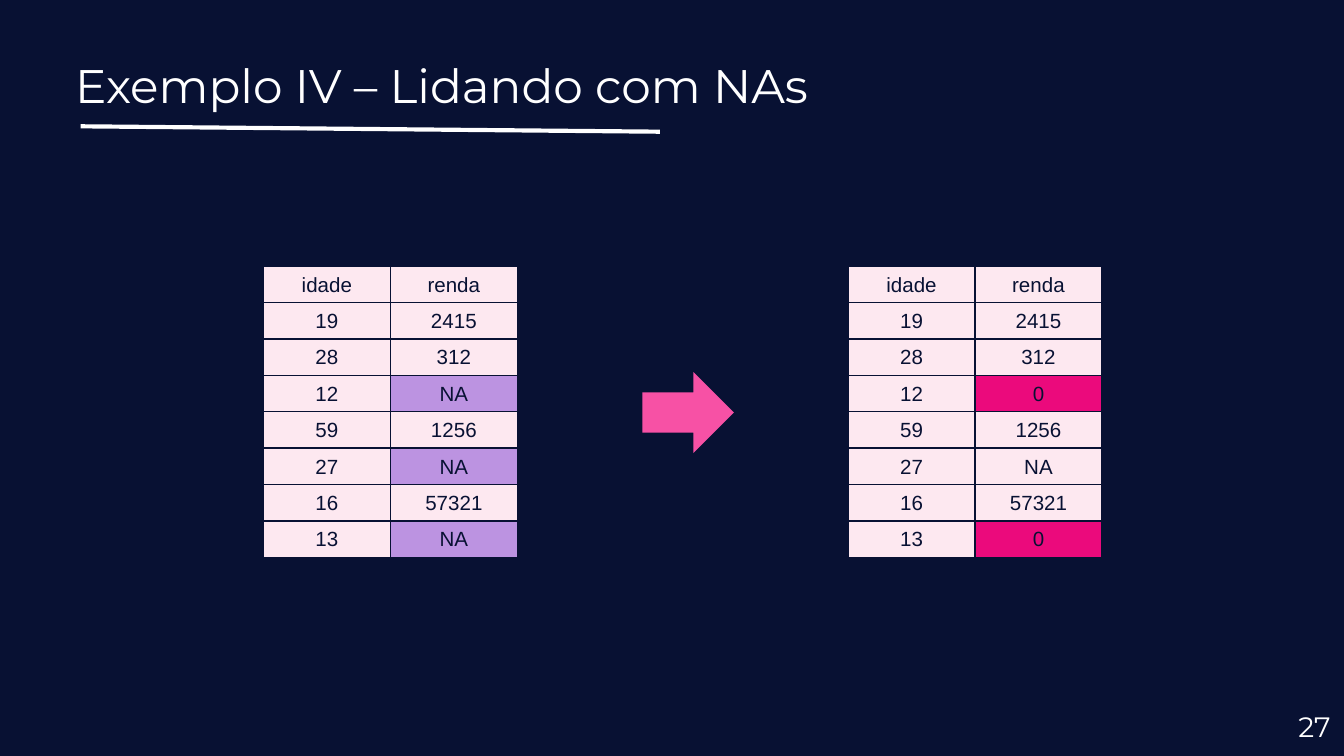
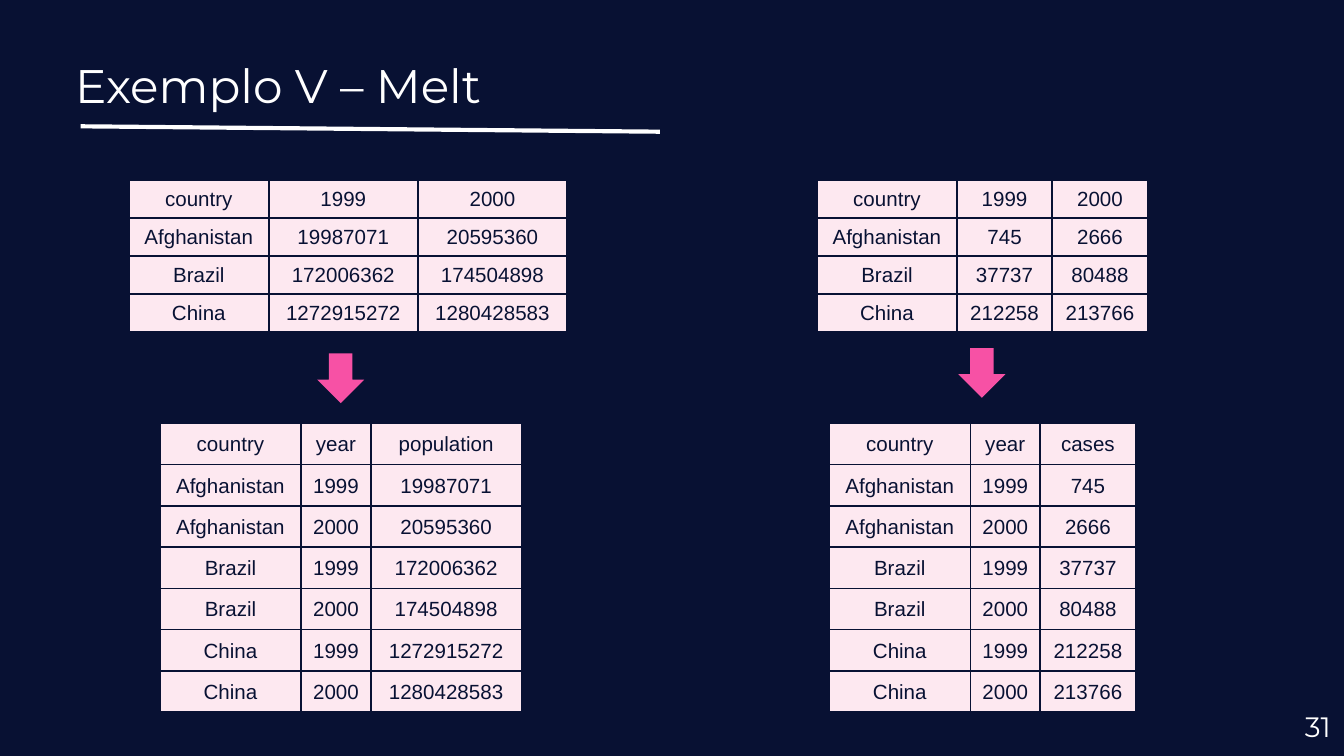
import dataclasses

import lxml.etree
import pptx
import pptx.dml.color
import pptx.enum.shapes
import pptx.enum.text
import pptx.oxml.ns
import pptx.util

Inches = pptx.util.Inches
Pt = pptx.util.Pt
PP_ALIGN = pptx.enum.text.PP_ALIGN
MSO_ANCHOR = pptx.enum.text.MSO_ANCHOR
qn = pptx.oxml.ns.qn


@dataclasses.dataclass(frozen=True)
class Theme:
    navy: str = "081133"
    white: str = "FFFFFF"
    cell: str = "FDE8F0"
    missing: str = "BC93E1"
    filled: str = "EB0A7C"
    arrow: str = "F751A5"
    heading_font: str = "Montserrat"
    table_font: str = "Arial"
    title_size: float = 25.2
    number_size: float = 15
    table_size: float = 11
    rule_width: float = 2.25
    border_width: float = 1


THEME = Theme()

# Content: incomes before and after replacing the missing values of minors
INCOME = [
    ("idade", "renda"),
    ("19", "2415"),
    ("28", "312"),
    ("12", "NA"),
    ("59", "1256"),
    ("27", "NA"),
    ("16", "57321"),
    ("13", "NA"),
]
ADULT_AGE = 18

# Content: wide tables, one column per year
POPULATION = [
    ("country", "1999", "2000"),
    ("Afghanistan", "19987071", "20595360"),
    ("Brazil", "172006362", "174504898"),
    ("China", "1272915272", "1280428583"),
]
CASES = [
    ("country", "1999", "2000"),
    ("Afghanistan", "745", "2666"),
    ("Brazil", "37737", "80488"),
    ("China", "212258", "213766"),
]

# Layout of the melt slide: (value name, wide table, wide left, year width,
# long left, value width, arrow left, arrow top)
MELTS = [
    ("population", POPULATION, 0.96, 1.11, 1.19, 1.12, 2.35, 2.64),
    ("cases", CASES, 6.08, 0.71, 6.17, 0.71, 7.12, 2.6),
]


def color(value):
    return pptx.dml.color.RGBColor.from_string(value)


def replace_missing(rows):
    """Set the income to 0 where it is missing and the person is a minor."""
    return [
        (age, "0" if income == "NA" and int(age) < ADULT_AGE else income)
        for age, income in rows
    ]


def melt(rows, value_name):
    """Turn one column per year into one row per country and year."""
    (key, *years), *records = rows
    return [(key, "year", value_name)] + [
        (country, year, value)
        for country, *values in records
        for year, value in zip(years, values)
    ]


# Shared parts
def style_text(para, font, size, ink, align):
    para.alignment = align
    for span in para.runs:
        span.font.name = font
        span.font.size = Pt(size)
        span.font.color.rgb = color(ink)


def style_heading(shape, text, size, align, anchor):
    frame = shape.text_frame
    frame.text = text
    frame.word_wrap = True
    frame.auto_size = pptx.enum.text.MSO_AUTO_SIZE.NONE
    frame.vertical_anchor = anchor
    frame.margin_left = frame.margin_right = Inches(0.1)
    frame.margin_top = frame.margin_bottom = Inches(0.1)
    style_text(frame.paragraphs[0], THEME.heading_font, size, THEME.white, align)


def add_page(deck, title, number):
    page = deck.slides.add_slide(deck.slide_layouts.get_by_name("Title Only"))
    rule = page.shapes.add_connector(
        pptx.enum.shapes.MSO_CONNECTOR.STRAIGHT,
        Inches(0.6), Inches(0.94), Inches(4.91), Inches(0.98))
    rule.line.color.rgb = color(THEME.white)
    rule.line.width = Pt(THEME.rule_width)
    lxml.etree.SubElement(rule.element.spPr, qn("a:effectLst"))

    heading = page.shapes.title
    heading.left, heading.top = Inches(0.46), Inches(0.32)
    heading.width, heading.height = Inches(9.32), Inches(0.63)
    style_heading(heading, title, THEME.title_size, PP_ALIGN.LEFT, MSO_ANCHOR.TOP)

    box = page.shapes.add_textbox(
        Inches(9.4), Inches(5.19), Inches(0.6), Inches(0.43))
    style_heading(box, number, THEME.number_size, PP_ALIGN.RIGHT, MSO_ANCHOR.MIDDLE)
    return page


def add_arrow(page, left, top, width, height, rotation=0):
    arrow = page.shapes.add_shape(
        pptx.enum.shapes.MSO_SHAPE.RIGHT_ARROW,
        Inches(left), Inches(top), Inches(width), Inches(height))
    arrow.rotation = rotation
    arrow.shadow.inherit = False
    arrow.fill.solid()
    arrow.fill.fore_color.rgb = color(THEME.arrow)
    arrow.line.fill.background()


def add_borders(cell):
    properties = cell._tc.get_or_add_tcPr()
    for side in ("lnL", "lnR", "lnT", "lnB"):
        line = lxml.etree.SubElement(
            properties, qn(f"a:{side}"), w=str(Pt(THEME.border_width)))
        fill = lxml.etree.SubElement(line, qn("a:solidFill"))
        lxml.etree.SubElement(fill, qn("a:srgbClr"), val=THEME.navy)


def add_grid(page, rows, left, top, widths, height, highlights=None):
    """Draw rows as a table; highlights maps (row, column) to a fill."""
    highlights = highlights or {}
    table = page.shapes.add_table(
        len(rows), len(widths), Inches(left), Inches(top),
        Inches(sum(widths)), Inches(height)).table
    table.first_row = table.horz_banding = False
    for column, width in zip(table.columns, widths):
        column.width = Inches(width)
    for r, row in enumerate(rows):
        table.rows[r].height = Inches(height / len(rows))
        for c, text in enumerate(row):
            cell = table.cell(r, c)
            cell.text = text
            cell.vertical_anchor = MSO_ANCHOR.MIDDLE
            cell.margin_left = cell.margin_right = cell.margin_top = Inches(0.01)
            cell.margin_bottom = 0
            add_borders(cell)
            cell.fill.solid()
            cell.fill.fore_color.rgb = color(highlights.get((r, c), THEME.cell))
            style_text(cell.text_frame.paragraphs[0], THEME.table_font,
                       THEME.table_size, THEME.navy, PP_ALIGN.CENTER)


# Slides
def add_missing_values_page(deck):
    page = add_page(deck, "Exemplo IV – Lidando com NAs", "27")
    header, *records = INCOME
    after = [header] + replace_missing(records)
    tables = [
        (INCOME, 1.96, "NA", THEME.missing),
        (after, 6.31, "0", THEME.filled),
    ]
    for rows, left, marked, fill in tables:
        highlights = {(r, 1): fill for r, row in enumerate(rows) if row[1] == marked}
        add_grid(page, rows, left, 1.98, [1.89 / 2] * 2, 2.17, highlights)
    add_arrow(page, 4.78, 2.77, 0.68, 0.6)


def add_melt_page(deck):
    page = add_page(deck, "Exemplo V – Melt", "31")
    for (name, wide, wide_left, year_width, long_left, value_width,
         arrow_left, arrow_top) in MELTS:
        add_grid(page, wide, wide_left, 1.34, [1.04, year_width, year_width], 1.13)
        add_grid(page, melt(wide, name), long_left, 3.15,
                 [1.05, 0.52, value_width], 2.15)
        add_arrow(page, arrow_left, arrow_top, 0.37, 0.35, rotation=90)


def main():
    deck = pptx.Presentation()
    # Widescreen page, 16:9
    deck.slide_width, deck.slide_height = Inches(10), Inches(10 * 9 / 16)
    backdrop = deck.slide_master.background.fill
    backdrop.solid()
    backdrop.fore_color.rgb = color(THEME.navy)
    add_missing_values_page(deck)
    add_melt_page(deck)
    deck.save("out.pptx")


if __name__ == "__main__":
    main()
